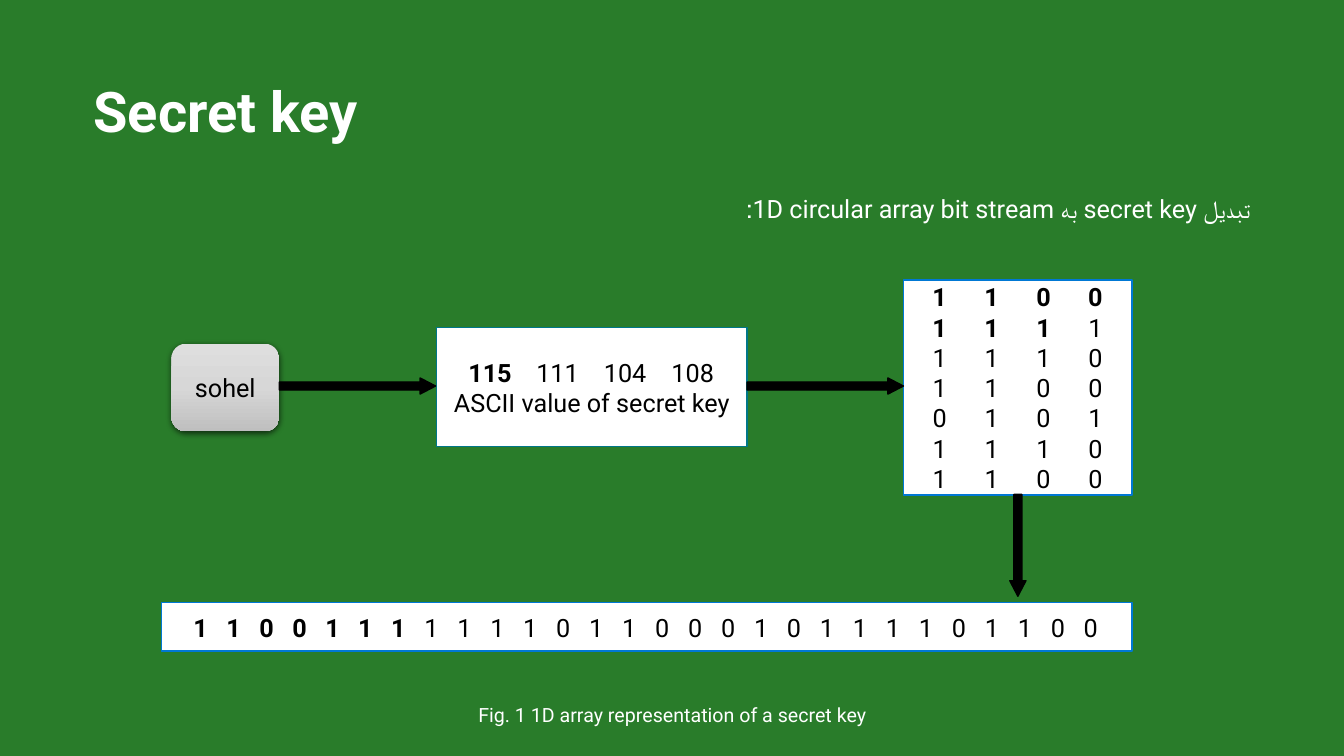
from lxml.etree import SubElement
from pptx import Presentation
from pptx.dml.color import RGBColor
from pptx.enum.shapes import MSO_SHAPE
from pptx.enum.text import MSO_ANCHOR, PP_ALIGN
from pptx.oxml.ns import qn
from pptx.util import Inches, Pt


def color(value):
    return RGBColor.from_string(value)


class SlideBuilder:
    font = "Roboto"
    green, white, black, blue = "297C2A", "FFFFFF", "000000", "0078D4"

    def __init__(self, prs):
        self.s = prs.slides.add_slide(prs.slide_layouts[6])
        self.s.background.fill.solid()
        self.s.background.fill.fore_color.rgb = color(self.green)

    def run(self, p, text, size=18, fill=black, bold=False):
        r = p.add_run()
        r.text = text
        r.font.name, r.font.size, r.font.bold = self.font, Pt(size), bold
        r.font.color.rgb = color(fill)

    def text(self, at, text, size, align=PP_ALIGN.LEFT, bold=False,
             anchor=MSO_ANCHOR.TOP, inset=0.1, spacing=0.9):
        tf = self.s.shapes.add_textbox(*map(Inches, at)).text_frame
        tf.word_wrap = True
        tf.vertical_anchor = anchor
        tf.margin_left = tf.margin_right = Inches(inset)
        tf.margin_top = tf.margin_bottom = 0
        p = tf.paragraphs[0]
        p.alignment, p.line_spacing = align, spacing
        self.run(p, text, size, self.white, bold)
        return p

    def shape(self, kind, at, fill, line=None):
        sp = self.s.shapes.add_shape(kind, *map(Inches, at))
        sp.shadow.inherit = False
        sp.fill.solid()
        sp.fill.fore_color.rgb = color(fill)
        if line:
            sp.line.color.rgb = color(line)
            sp.line.width = Pt(1)
        else:
            sp.line.fill.background()
        tf = sp.text_frame
        tf.word_wrap = True
        tf.vertical_anchor = MSO_ANCHOR.MIDDLE
        tf.margin_left = tf.margin_right = tf.margin_top = tf.margin_bottom = 0
        return sp

    def box(self, at, line=blue):
        return self.shape(MSO_SHAPE.RECTANGLE, at, self.white, line).text_frame

    def values(self, p, values, first, step, bold=0):
        """Centre each value on its own tab stop; the first ones are bold."""
        p.alignment = PP_ALIGN.LEFT
        tabs = SubElement(p._p.get_or_add_pPr(), qn("a:tabLst"))
        for i in range(len(values)):
            SubElement(tabs, qn("a:tab"), pos=str(Inches(first + i * step)), algn="ctr")
        for part, is_bold in ((values[:bold], True), (values[bold:], False)):
            if part:
                self.run(p, "".join("\t" + v for v in part), bold=is_bold)

    def key(self, at, text):
        sp = self.shape(MSO_SHAPE.ROUNDED_RECTANGLE, at, "D7D7D7")
        # Three-stop vertical gradient
        sp.fill.gradient()
        grad = sp._element.spPr.find(qn("a:gradFill"))
        for child in list(grad):
            grad.remove(child)
        stops = SubElement(grad, qn("a:gsLst"))
        for pos, shade in ((0, "DEDEDE"), (50, "D7D7D7"), (100, "BFBFBF")):
            gs = SubElement(stops, qn("a:gs"), pos=str(pos * 1000))
            SubElement(gs, qn("a:srgbClr"), val=shade)
        SubElement(grad, qn("a:lin"), ang="5400000", scaled="0")
        # Soft shadow below
        effects = sp._element.spPr.find(qn("a:effectLst"))
        shadow = SubElement(effects, qn("a:outerShdw"), blurRad=str(Pt(4.5)),
                            dist=str(Pt(1.5)), dir="5400000", rotWithShape="0")
        tint = SubElement(shadow, qn("a:srgbClr"), val=self.black)
        SubElement(tint, qn("a:alpha"), val="63000")
        p = sp.text_frame.paragraphs[0]
        p.alignment = PP_ALIGN.CENTER
        self.run(p, text)

    def arrow(self, at, rotation=0):
        sp = self.shape(MSO_SHAPE.RIGHT_ARROW, at, self.black, self.black)
        sp.adjustments[0], sp.adjustments[1] = 0.5, 0.96
        sp.rotation = rotation


def main():
    prs = Presentation()
    prs.slide_width, prs.slide_height = Inches(13.33), Inches(7.5)
    b = SlideBuilder(prs)

    # Title and right-to-left statement
    b.text((0.83, 0.78, 11.58, 0.71), "Secret key", 40, bold=True,
           anchor=MSO_ANCHOR.MIDDLE)
    p = b.text((0.83, 1.95, 11.67, 1.22),
               "تبدیل secret key به 1D circular array bit stream:", 18, PP_ALIGN.RIGHT)
    p._p.get_or_add_pPr().set("rtl", "1")

    # Secret key
    b.key((1.7, 3.41, 1.07, 0.87), "sohel")

    # ASCII values
    tf = b.box((4.33, 3.25, 3.08, 1.18), "007788")
    b.values(tf.paragraphs[0], ["115", "111", "104", "108"], 0.53, 0.67, bold=1)
    p = tf.add_paragraph()
    p.alignment = PP_ALIGN.CENTER
    b.run(p, "ASCII value of secret key")

    # Bit matrix
    rows = ["1100", "1111", "1110", "1100", "0101", "1110", "1100"]
    bold_counts = [4, 3, 0, 0, 0, 0, 0]
    tf = b.box((8.96, 2.78, 2.27, 2.13))
    for i, (row, bold) in enumerate(zip(rows, bold_counts)):
        p = tf.add_paragraph() if i else tf.paragraphs[0]
        b.values(p, row, 0.36, 0.515, bold)

    # Bit stream
    tf = b.box((1.6, 5.98, 9.63, 0.48))
    b.values(tf.paragraphs[0], "1100111111101100010111101100", 0.39, 0.327, bold=7)

    # Arrows between the steps
    for left in (2.77, 7.41):
        b.arrow((left, 3.75, 1.55, 0.16))
    b.arrow((9.59, 5.33, 1.01, 0.16), rotation=90)

    # Caption
    b.text((4.66, 6.97, 4.02, 0.48), "Fig. 1 1D array representation of a secret key",
           14, PP_ALIGN.CENTER, inset=0, spacing=1.0)

    prs.save("out.pptx")


if __name__ == "__main__":
    main()
